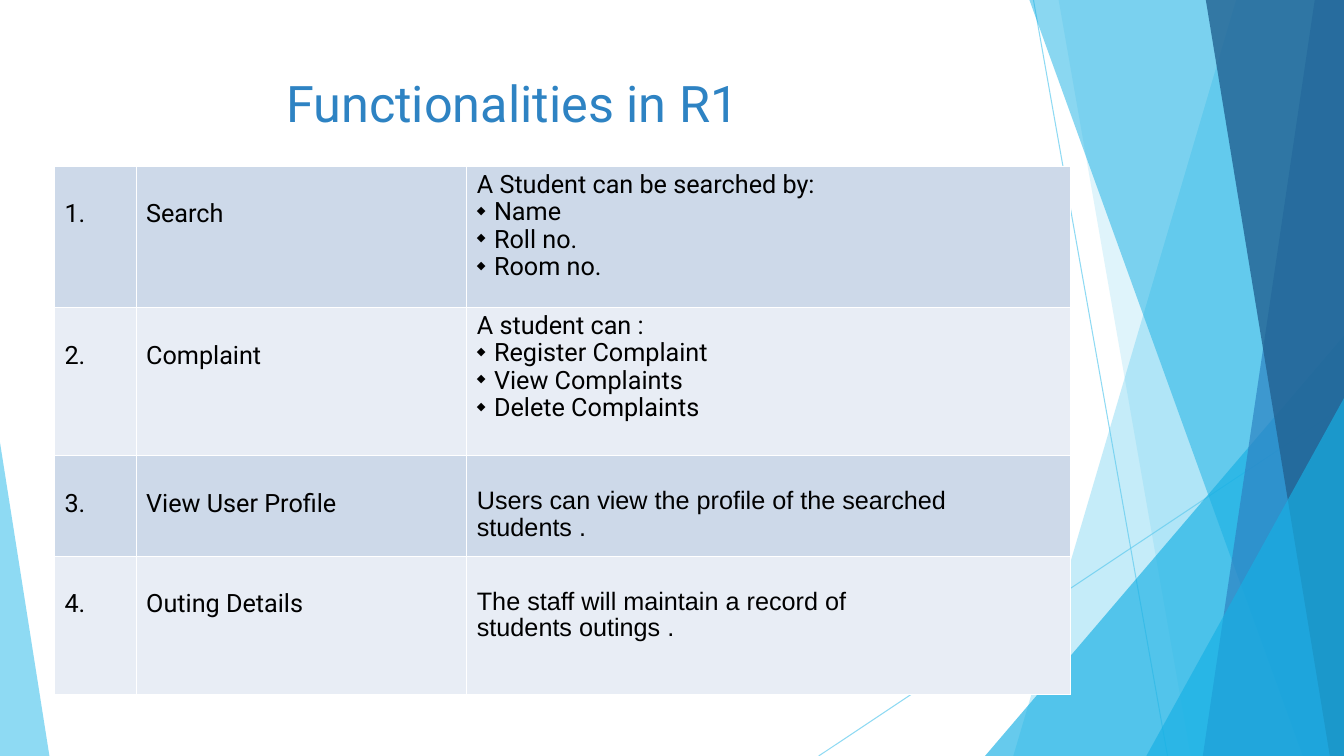
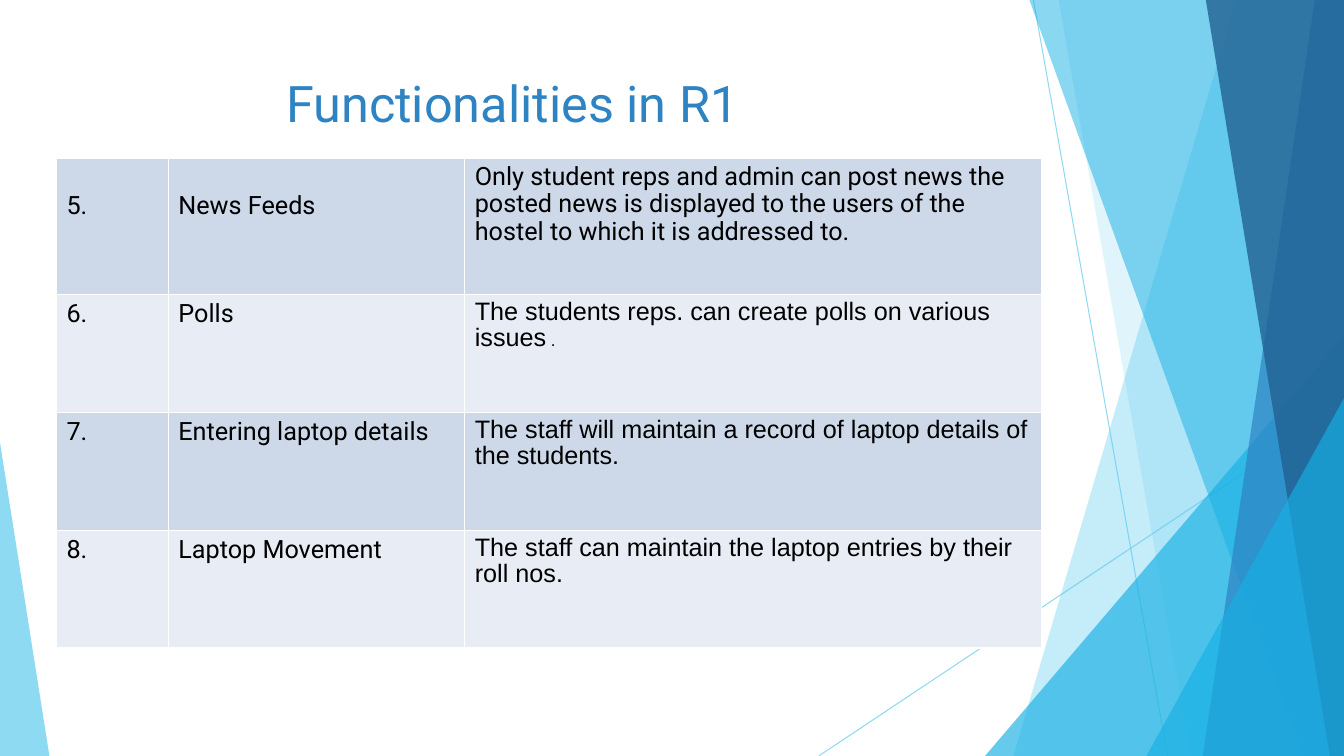
import pptx
import pptx.util
import pptx.dml.color
import pptx.enum.shapes
import pptx.enum.text
import pptx.oxml
import pptx.oxml.ns
from lxml import etree

Inches = pptx.util.Inches
Pt = pptx.util.Pt
qn = pptx.oxml.ns.qn

SKY, CYAN, BLUE, NAVY = "5FCBEF", "17B0E4", "2E83C3", "226292"
ROW_FILLS = ["CDD9E9", "E8EDF5"]
TITLE = "Functionalities in R1"
ONE_LINE = 0.28
TITLE_FORMAT = {
    "word_wrap": True,
    "vertical_anchor": pptx.enum.text.MSO_ANCHOR.TOP,
}

RAYS = [((10.25, 0), (11.58, 7.5)), ((8.12, 7.5), (13.33, 4.03))]
FACETS = [
    (SKY, 70, [(0, 4.39), (0.49, 7.5), (0, 7.5)]),
    (SKY, 36, [(12.26, 0), (10.05, 7.5), (13.33, 7.5), (13.33, 0)]),
    (SKY, 20, [(10.5, 0), (11.81, 7.5), (13.33, 7.5), (13.33, 0)]),
    (CYAN, 66, [(9.77, 7.5), (13.33, 3.33), (13.33, 7.5)]),
    (CYAN, 50, [(10.21, 0), (12.92, 7.5), (13.33, 7.5), (13.33, 0)]),
    (BLUE, 70, [(13.04, 0), (11.93, 7.5), (13.33, 7.5), (13.33, 0)]),
    (NAVY, 80, [(11.96, 0), (13.19, 7.5), (13.33, 7.5), (13.33, 0)]),
    (CYAN, 66, [(11.37, 7.5), (13.33, 3.95), (13.33, 7.5)]),
]

TABLES = [
    {
        "at": (0.54, 1.65),
        "columns": [0.81, 3.28, 5.99],
        "heights": [1.4, 1.47, 1, 1.37],
        "rows": [
            ("1.", "Search", ONE_LINE, 0, "Roboto",
             [("A Student can be searched by:",)], ["Name", "Roll no.", "Room no."]),
            ("2.", "Complaint", ONE_LINE, 0, "Roboto",
             [("A student can :",)],
             ["Register Complaint", "View Complaints", "Delete Complaints"]),
            ("3.", "View User Profile", ONE_LINE, ONE_LINE, "Arial",
             [("Users can view the profile of the searched students .",)], []),
            ("4.", "Outing Details", ONE_LINE, ONE_LINE, "Arial",
             [("The staff will maintain a record of",), ("students outings .",)], []),
        ],
    },
    {
        "at": (0.56, 1.57),
        "columns": [1.11, 2.94, 5.72],
        "heights": [1.35, 1.17, 1.17, 1.17],
        "rows": [
            ("5.", "News Feeds", ONE_LINE, 0, "Roboto",
             [("Only student reps and admin can post news the posted news is displayed "
               "to the users of the hostel to which it is addressed to.",)], []),
            ("6.", "Polls", 0, 0, "Arial",
             [("The students reps. can create polls on various issues", " .")], []),
            ("7.", "Entering laptop details", 0, 0, "Arial",
             [("The staff will maintain a record of laptop details of the students.",)], []),
            ("8.", "Laptop Movement", 0, 0, "Arial",
             [("The staff can maintain the laptop entries by their roll nos.",)], []),
        ],
    },
]


def paint(target, color, opacity=100):
    target.solid()
    target.fore_color.rgb = pptx.dml.color.RGBColor.from_string(color)
    if opacity < 100:
        rgb = target.fore_color._xFill.find(qn("a:srgbClr"))
        etree.SubElement(rgb, qn("a:alpha"), val=str(opacity * 1000))


def write(paragraph, text, font, size, color):
    run = paragraph.add_run()
    run.text = text
    run.font.name = font
    run.font.size = Pt(size)
    paint(run.font.fill, color)


deck = pptx.Presentation()
deck.slide_width = Inches(13.33)
deck.slide_height = Inches(7.5)
blank = deck.slide_layouts[6]
for placeholder in list(blank.placeholders):
    blank.shapes.element.remove(placeholder.element)
slides = [deck.slides.add_slide(blank) for table in TABLES]

canvas = slides[0].shapes
for start, end in RAYS:
    ray = canvas.add_connector(
        pptx.enum.shapes.MSO_CONNECTOR.STRAIGHT, *[Inches(v) for v in start + end])
    ray.line.width = Pt(0.75)
    paint(ray.line.fill, SKY, 70)
    etree.SubElement(ray.element.spPr, qn("a:effectLst"))
for color, opacity, corners in FACETS:
    points = [(Inches(x), Inches(y)) for x, y in corners]
    outline = canvas.build_freeform(*points[0])
    outline.add_line_segments(points[1:], close=True)
    facet = outline.convert_to_shape()
    facet.shadow.inherit = False
    facet.line.fill.background()
    paint(facet.fill, color, opacity)
for decoration in list(canvas):
    blank.shapes.element.append(decoration.element)

for slide, content in zip(slides, TABLES):
    heading = slide.shapes.add_textbox(
        Inches(2.74), Inches(0.67), Inches(7.4), Inches(0.9)).text_frame
    for attribute, value in TITLE_FORMAT.items():
        setattr(heading, attribute, value)
    write(heading.paragraphs[0], TITLE, "Roboto", 36, BLUE)

    columns, heights = content["columns"], content["heights"]
    left, top = content["at"]
    grid = slide.shapes.add_table(
        len(heights), len(columns), Inches(left), Inches(top),
        Inches(sum(columns)), Inches(sum(heights))).table
    grid.first_row = grid.horz_banding = False
    for column, width in zip(grid.columns, columns):
        column.width = Inches(width)
    for row, height in zip(grid.rows, heights):
        row.height = Inches(height)

    for index, entry in enumerate(content["rows"]):
        number, feature, label_gap, detail_gap, font, details, options = entry
        cells = grid.rows[index].cells
        for cell, gap in zip(cells, (label_gap, label_gap, detail_gap)):
            cell.margin_top = Inches(0.05 + gap)
            paint(cell.fill, ROW_FILLS[index % 2])
            properties = cell._tc.get_or_add_tcPr()
            for position, side in enumerate(("lnL", "lnR", "lnT", "lnB")):
                border = etree.Element(qn("a:" + side), w=str(Pt(1)))
                stroke = etree.SubElement(border, qn("a:solidFill"))
                etree.SubElement(stroke, qn("a:srgbClr"), val="FFFFFF")
                properties.insert(position, border)

        for cell, label in zip(cells, (number, feature)):
            write(cell.text_frame.paragraphs[0], label, "Roboto", 18, "000000")

        description = cells[2].text_frame
        lines = details + [(option,) for option in options]
        for order, runs in enumerate(lines):
            line = description.add_paragraph() if order else description.paragraphs[0]
            line.line_spacing = 0.93
            for text, size in zip(runs, (18, 12)):
                write(line, text, font, size, "000000")
            if order >= len(details):
                layout = line._p.get_or_add_pPr()
                layout.set("marL", str(Inches(0.17)))
                layout.set("indent", str(-Inches(0.17)))
                bullet_color = etree.SubElement(layout, qn("a:buClr"))
                etree.SubElement(bullet_color, qn("a:srgbClr"), val="000000")
                etree.SubElement(layout, qn("a:buSzPct"), val="45000")
                etree.SubElement(layout, qn("a:buChar"), char="◆")

deck.save("out.pptx")
